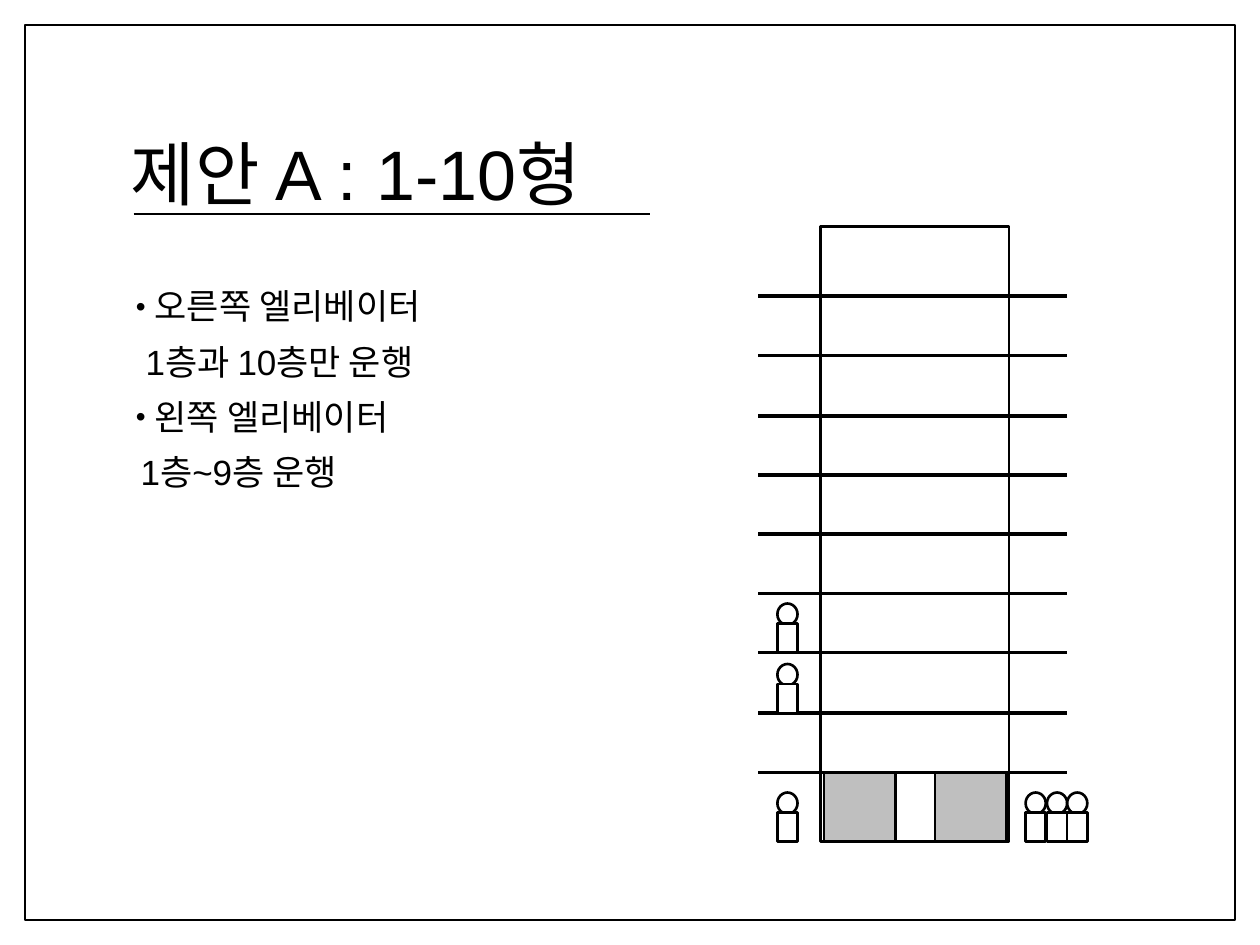
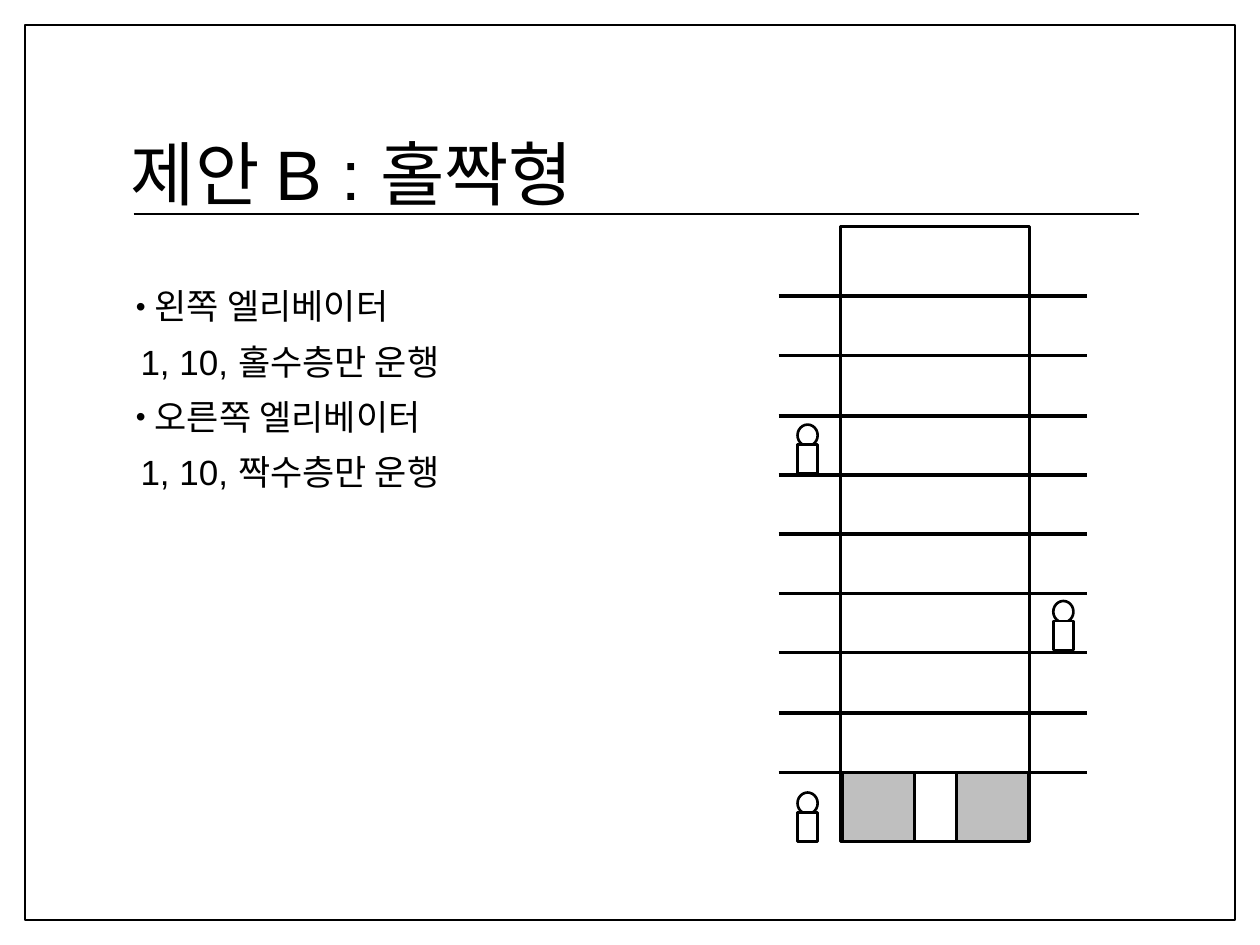
from lxml import etree
from pptx import Presentation
from pptx import util as u
from pptx.dml.color import RGBColor
from pptx.enum import shapes, text
from pptx.oxml import ns

PX = 9144  # EMU per px, 100 px to the inch
COLORS = {"ink": "000000", "paper": "FFFFFF", "door": "BFBFBF"}
FONT = "Arial"
RECT, OVAL = shapes.MSO_SHAPE.RECTANGLE, shapes.MSO_SHAPE.OVAL

GROUND, ROOF = 668, 180
SHAFT_WIDTH, FLOOR_OVERHANG, FLOOR_WIDTH = 150, 49, 245
FIRST_FLOOR_LINE, FLOOR_STEP, FLOOR_COUNT = 235, 47.25, 9
DOOR_WIDTH, DOOR_HEIGHT = 57, 55
PERSON_WIDTH, HEAD_HEIGHT, BODY_HEIGHT = 16, 17, 23

# Each person group is a list of left edges and the height its feet stand on.
PROPOSALS = [
    {
        "title": "제안 A : 1-10형",
        "underline_end": 516,
        "lines": [("bullet", "오른쪽 엘리베이터"), ("hanging", " 1층과 10층만 운행"),
                  ("bullet", "왼쪽 엘리베이터"), ("plain", " 1층~9층 운행")],
        "shaft_left": 651,
        "doors": [742, 654],
        "people": [([814, 831, 847], GROUND), ([617], GROUND), ([617], 566), ([617], 518)],
    },
    {
        "title": "제안 B : 홀짝형",
        "underline_end": 904,
        "lines": [("bullet", "왼쪽 엘리베이터"), ("plain", " 1, 10, 홀수층만 운행"),
                  ("bullet", "오른쪽 엘리베이터"), ("plain", " 1, 10, 짝수층만 운행")],
        "shaft_left": 667,
        "doors": [759, 669],
        "people": [([633], GROUND), ([633], 376), ([836], 516)],
    },
]


def draw(container, kind, left, top, width, height, fill="paper", line_width=1.5):
    """Add an outlined shape, or a horizontal line when kind is None."""
    left, top, width, height = (value * PX for value in (left, top, width, height))
    if kind is None:
        shape = container.add_connector(
            shapes.MSO_CONNECTOR.STRAIGHT, left, top, left + width, top)
        etree.SubElement(shape.element.spPr, ns.qn("a:ln"))
    else:
        shape = container.add_shape(kind, left, top, width, height)
        shape.shadow.inherit = False
        shape.fill.solid()
        shape.fill.fore_color.rgb = RGBColor.from_string(COLORS[fill])
    shape.line.color.rgb = RGBColor.from_string(COLORS["ink"])
    shape.line.width = u.Pt(line_width)
    if kind is None:
        etree.SubElement(shape.element.spPr, ns.qn("a:effectLst"))


def add_text(slide, top, height, lines, size, anchor, space_before):
    box = slide.shapes.add_textbox(94 * PX, top * PX, 810 * PX, height * PX)
    frame = box.text_frame
    frame.word_wrap = True
    frame.vertical_anchor = anchor
    for index, (style, line) in enumerate(lines):
        paragraph = frame.paragraphs[0] if index == 0 else frame.add_paragraph()
        paragraph.text = line
        paragraph.line_spacing = 0.9
        paragraph.space_before = u.Pt(space_before)
        font = paragraph.runs[0].font
        font.name = FONT
        font.size = u.Pt(size)
        font.color.rgb = RGBColor.from_string(COLORS["ink"])
        properties = paragraph._p.get_or_add_pPr()
        if style != "plain":
            properties.set("marL", str(19 * PX))
            properties.set("indent", str(-15 * PX))
        if style == "bullet":
            color = etree.SubElement(properties, ns.qn("a:buClr"))
            etree.SubElement(color, ns.qn("a:srgbClr"), val=COLORS["ink"])
            etree.SubElement(properties, ns.qn("a:buSzPct"), val="80000")
            etree.SubElement(properties, ns.qn("a:buFont"), typeface=FONT)
            etree.SubElement(properties, ns.qn("a:buChar"), char="•")


presentation = Presentation()
presentation.slide_width = 1000 * PX
presentation.slide_height = 750 * PX
blank_layout = presentation.slide_layouts[6]

for proposal in PROPOSALS:
    slide = presentation.slides.add_slide(blank_layout)
    draw(slide.shapes, RECT, 20, 20, 960, 710, line_width=1)
    add_text(slide, 67, 148, [("plain", proposal["title"])], 40, text.MSO_ANCHOR.MIDDLE, 0)
    draw(slide.shapes, None, 106, 170, proposal["underline_end"] - 106, 0, line_width=1.25)

    building = slide.shapes.add_group_shape().shapes
    shaft_left = proposal["shaft_left"]
    draw(building, RECT, shaft_left, ROOF, SHAFT_WIDTH, GROUND - ROOF)
    for floor in range(FLOOR_COUNT):
        floor_top = round(FIRST_FLOOR_LINE + floor * FLOOR_STEP)
        draw(building, None, shaft_left - FLOOR_OVERHANG, floor_top, FLOOR_WIDTH, 0, line_width=2)

    for door_left in proposal["doors"]:
        draw(slide.shapes, RECT, door_left, GROUND - DOOR_HEIGHT, DOOR_WIDTH, DOOR_HEIGHT, "door")

    for lefts, feet in proposal["people"]:
        people = slide.shapes.add_group_shape().shapes
        body_top = feet - BODY_HEIGHT
        for left in lefts:
            draw(people, OVAL, left, body_top - HEAD_HEIGHT + 1, PERSON_WIDTH, HEAD_HEIGHT)
            draw(people, RECT, left, body_top, PERSON_WIDTH, BODY_HEIGHT)

    add_text(slide, 225, 442, proposal["lines"], 20, text.MSO_ANCHOR.TOP, 10)

presentation.save("out.pptx")
